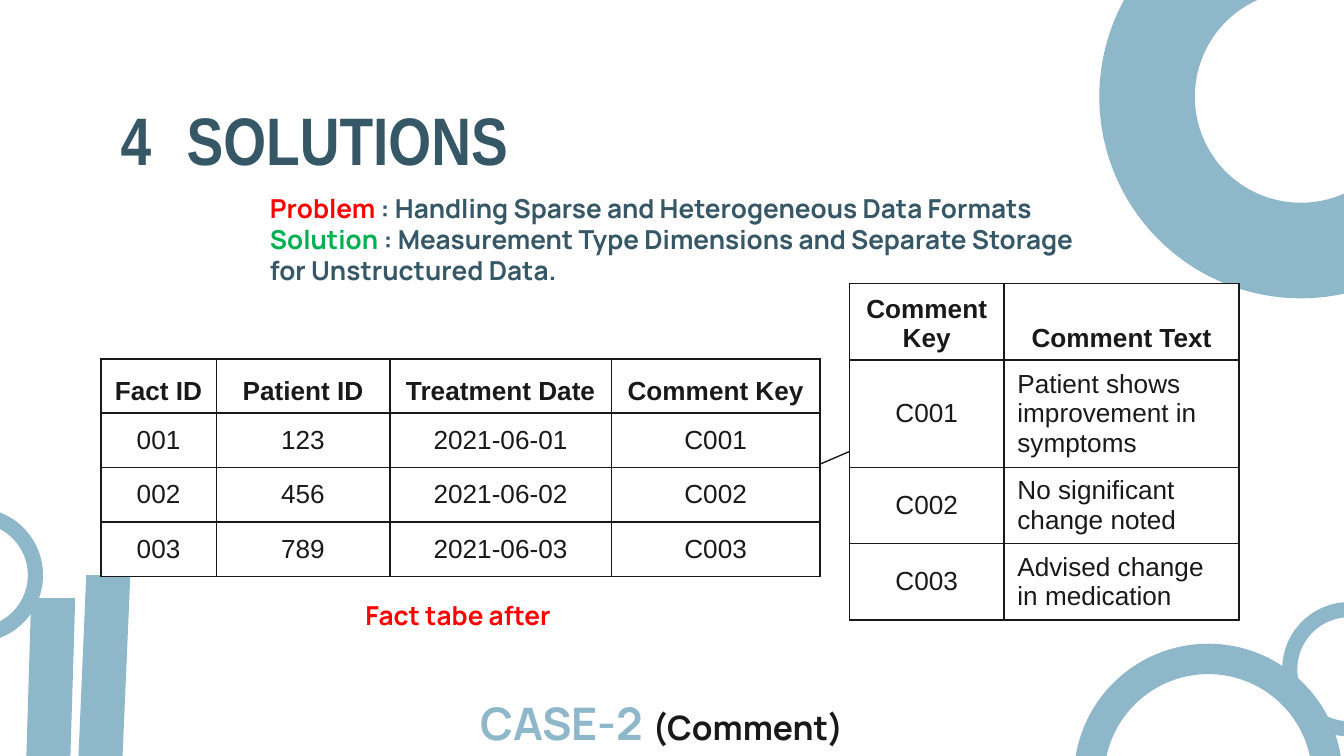
from dataclasses import dataclass

from lxml import etree
from pptx import Presentation
from pptx import util as u
from pptx.dml import color
from pptx.enum import shapes, text
from pptx.oxml import ns

Inches = u.Inches


@dataclass(frozen=True)
class Theme:
    navy: str = "355766"
    sky: str = "8EB7CA"
    red: str = "FF0000"
    green: str = "00B050"
    ink: str = "191919"
    white: str = "FFFFFF"
    head: str = "Arial Narrow"
    body: str = "Manrope"
    grid: str = "Arial"
    title: int = 36
    case: int = 24
    note: int = 18
    base: int = 14


T = Theme()


def rgb(tone):
    return color.RGBColor.from_string(tone)


def add_run(para, words, font, size, tone, bold=True):
    run = para.add_run()
    run.text = words
    run.font.name = font
    run.font.size = u.Pt(size)
    run.font.bold = bold
    run.font.color.rgb = rgb(tone)


def add_text(slide, box, lines, wrap=True):
    """Each line is a list of runs: (words, font, size, tone)."""
    frame = slide.shapes.add_textbox(*map(Inches, box)).text_frame
    frame.word_wrap = wrap
    frame.auto_size = text.MSO_AUTO_SIZE.SHAPE_TO_FIT_TEXT
    for i, runs in enumerate(lines):
        para = frame.paragraphs[0] if i == 0 else frame.add_paragraph()
        for run in runs:
            add_run(para, *run)


def add_deco(slide, kind, box, ring=None):
    shape = slide.shapes.add_shape(kind, *map(Inches, box))
    shape.shadow.inherit = False
    shape.fill.solid()
    shape.fill.fore_color.rgb = rgb(T.sky)
    shape.line.fill.background()
    if ring is not None:
        shape.adjustments[0] = ring


def add_edges(cell):
    props = cell._tc.get_or_add_tcPr()
    for i, side in enumerate(("lnL", "lnR", "lnT", "lnB")):
        edge = etree.Element(ns.qn("a:" + side), w=str(u.Pt(1)))
        fill = etree.SubElement(edge, ns.qn("a:solidFill"))
        etree.SubElement(fill, ns.qn("a:srgbClr"), val=T.ink)
        props.insert(i, edge)


def add_grid(slide, left, top, cols, rows, data, prose=()):
    """Columns listed in prose keep their body text at the left."""
    box = map(Inches, (left, top, sum(cols), sum(rows)))
    table = slide.shapes.add_table(len(rows), len(cols), *box).table
    table.first_row = table.horz_banding = False
    for col, width in zip(table.columns, cols):
        col.width = Inches(width)
    for row, high in zip(table.rows, rows):
        row.height = Inches(high)
    for r, line in enumerate(data):
        for c, words in enumerate(line):
            cell = table.cell(r, c)
            cell.fill.solid()
            cell.fill.fore_color.rgb = rgb(T.white)
            cell.vertical_anchor = (text.MSO_ANCHOR.MIDDLE if r
                                    else text.MSO_ANCHOR.BOTTOM)
            para = cell.text_frame.paragraphs[0]
            para.alignment = (text.PP_ALIGN.LEFT if r and c in prose
                              else text.PP_ALIGN.CENTER)
            add_run(para, words, T.grid, T.base, T.ink, bold=r == 0)
            add_edges(cell)


def add_link(slide, start, end):
    link = slide.shapes.add_connector(
        shapes.MSO_CONNECTOR.STRAIGHT, *map(Inches, start + end))
    link.line.color.rgb = rgb(T.ink)
    link.line.width = u.Pt(0.75)
    etree.SubElement(link._element.spPr, ns.qn("a:effectLst"))


def main():
    # Widescreen, 16 by 9
    deck = Presentation()
    deck.slide_width = Inches(10)
    deck.slide_height = Inches(10 * 9 / 16)
    slide = deck.slides.add_slide(deck.slide_layouts[6])

    # Rings and slanted bars
    for left, top, size, ring in ((7.99, 4.79, 2, 0.113),
                                  (8.18, -0.78, 3, 0.237),
                                  (9.54, 4.48, 1, 0.113),
                                  (-0.68, 3.78, 1, 0.113)):
        add_deco(slide, shapes.MSO_SHAPE.DONUT, (left, top, size, size), ring)
    for box in ((0.15, 4.45, 0.41, 2.69), (0.56, 4.28, 0.41, 1.91)):
        add_deco(slide, shapes.MSO_SHAPE.FLOWCHART_DATA, box)

    # Title
    add_text(slide, (0.8, 0.68, 0.43, 0.71),
             [[("4", T.head, T.title, T.navy)]], wrap=False)
    add_text(slide, (1.29, 0.68, 3.91, 0.71),
             [[("SOLUTIONS", T.head, T.title, T.navy)]])

    # Problem and solution
    pairs = (
        ("Problem", T.red,
         " : Handling Sparse and Heterogeneous Data Formats"),
        ("Solution", T.green,
         " : Measurement Type Dimensions and Separate Storage "
         "for Unstructured Data."),
    )
    add_text(slide, (1.91, 1.38, 6.18, 0.81),
             [[(label, T.body, T.base, tone),
               (words, T.body, T.base, T.navy)]
              for label, tone, words in pairs])

    # Captions
    add_text(slide, (3.48, 5.13, 3.03, 0.5),
             [[("CASE-2 ", T.body, T.case, T.sky),
               ("(Comment)", T.body, T.note, T.ink)]])
    add_text(slide, (2.62, 4.41, 1.61, 0.34),
             [[("Fact tabe after", T.body, T.base, T.red)]])

    # Fact table and comment table, joined by a line
    add_grid(slide, 0.75, 2.67, (0.86, 1.29, 1.65, 1.55), [0.405] * 4, (
        ("Fact ID", "Patient ID", "Treatment Date", "Comment Key"),
        ("001", "123", "2021-06-01", "C001"),
        ("002", "456", "2021-06-02", "C002"),
        ("003", "789", "2021-06-03", "C003"),
    ))
    add_grid(slide, 6.32, 2.11, (1.15, 1.75), (0.56, 0.8, 0.56, 0.56), (
        ("Comment Key", "Comment Text"),
        ("C001", "Patient shows improvement in symptoms"),
        ("C002", "No significant change noted"),
        ("C003", "Advised change in medication"),
    ), prose=(1,))
    add_link(slide, (6.11, 3.45), (6.32, 3.36))

    deck.save("out.pptx")


if __name__ == "__main__":
    main()
